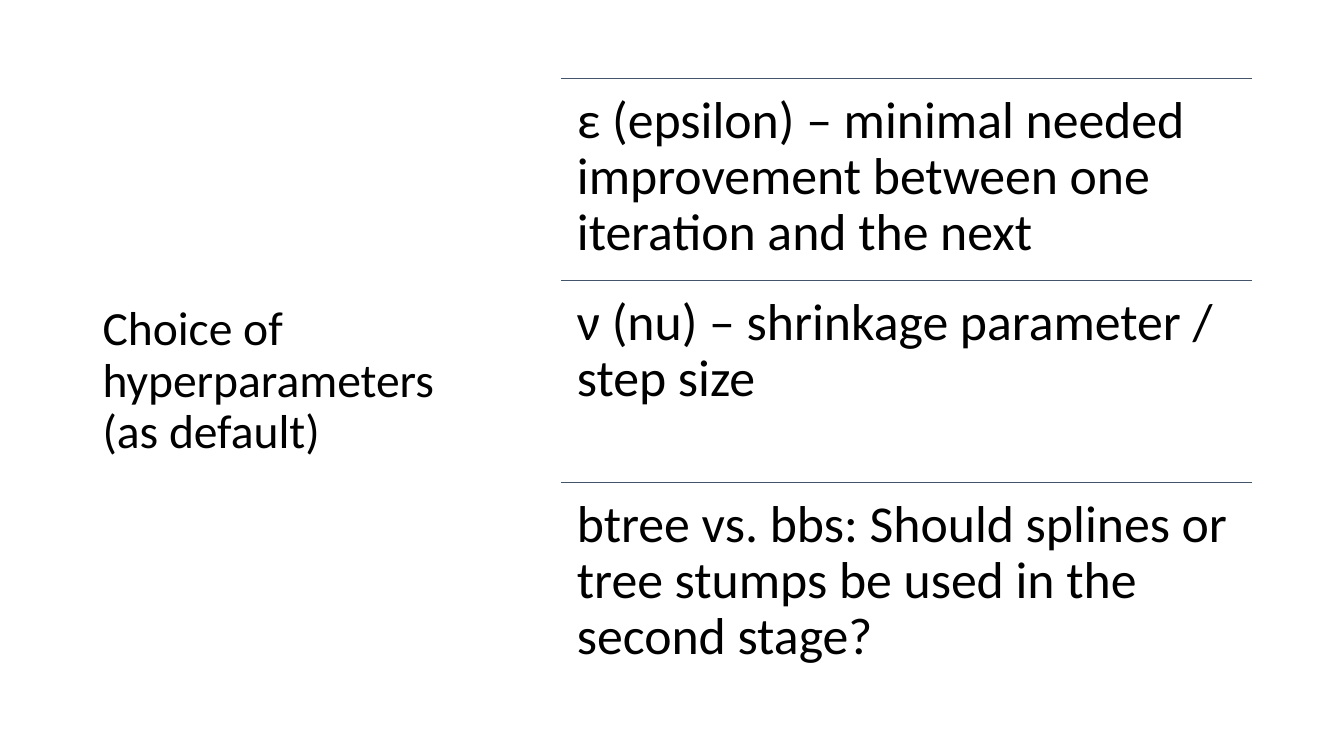
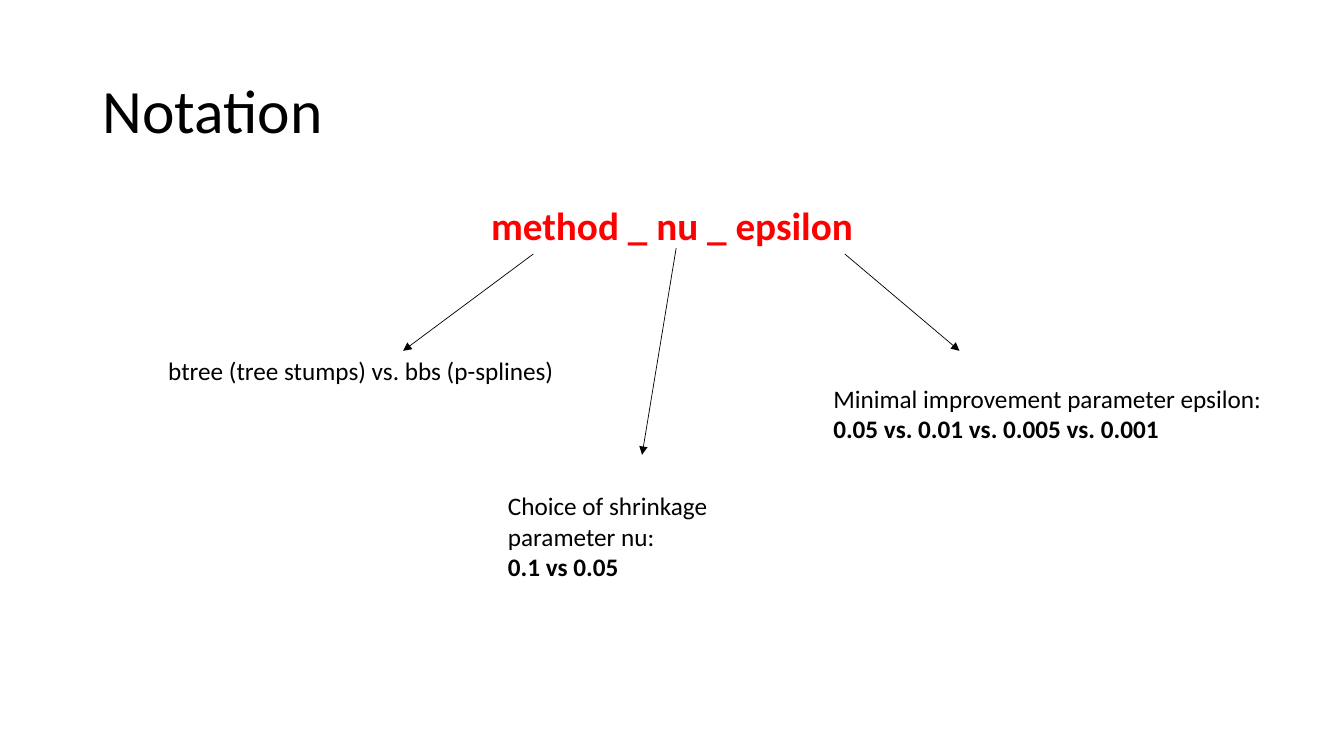
from lxml.etree import SubElement
from pptx import Presentation
from pptx.dml.color import RGBColor
from pptx.enum.shapes import MSO_CONNECTOR
from pptx.enum.text import MSO_ANCHOR, MSO_AUTO_SIZE, PP_ALIGN
from pptx.oxml.ns import qn
from pptx.util import Cm, Pt

FONT = "Calibri"
COLORS = {"text": "000000", "rule": "44546A", "formula": "FF0000"}
TITLE_ONLY, TITLE_AND_BODY = 5, 1

CHOICE_TITLE = "Choice of hyperparameters (as default)"
HYPERPARAMETERS = [
    "ε (epsilon) – minimal needed improvement between one iteration and the next",
    "ν (nu) – shrinkage parameter / step size",
    "btree vs. bbs: Should splines or tree stumps be used in the second stage?",
]
LIST_LEFT, LIST_TOP, LIST_WIDTH, ROW_HEIGHT = 14.15, 1.98, 17.4, 5.09

NOTATION_TITLE = "Notation"
FORMULA = "method _ nu _ epsilon"
EXPLANATIONS = [
    {"lines": ["btree (tree stumps) vs. bbs (p-splines)"],
     "box": (3.99, 8.84, 10.54, 1.02), "arrow": (13.44, 6.4, 10.16, 8.84)},
    {"lines": ["Choice of shrinkage parameter nu:", "0.1 vs 0.05"],
     "box": (12.55, 12.24, 6.91, 2.57), "arrow": (17.04, 6.25, 16.18, 11.46)},
    {"lines": ["Minimal improvement parameter epsilon:",
               "0.05 vs. 0.01 vs. 0.005 vs. 0.001"],
     "box": (20.75, 9.53, 11.48, 1.8), "arrow": (21.29, 6.4, 24.18, 8.84)},
]


def style(paragraph, size, color="text", bold=False, spacing=None, align=PP_ALIGN.LEFT):
    paragraph.alignment = align
    paragraph.line_spacing = spacing
    for run in paragraph.runs:
        run.font.name = FONT
        run.font.size = Pt(size)
        run.font.bold = bold
        run.font.color.rgb = RGBColor.from_string(COLORS[color])


def place(shape, box):
    shape.left, shape.top, shape.width, shape.height = map(Cm, box)


def add_slide(deck, layout, title, title_box, title_size):
    slide = deck.slides.add_slide(deck.slide_layouts[layout])
    heading = slide.shapes.title
    place(heading, title_box)
    frame = heading.text_frame
    frame.text = title
    frame.word_wrap = True
    frame.auto_size = MSO_AUTO_SIZE.NONE
    frame.vertical_anchor = MSO_ANCHOR.MIDDLE
    style(frame.paragraphs[0], title_size, spacing=0.9)
    return slide


def add_text(slide, lines, box, size, spacing=None, inset=None):
    frame = slide.shapes.add_textbox(*map(Cm, box)).text_frame
    frame.word_wrap = True
    if inset is not None:
        frame.margin_left = frame.margin_right = Cm(inset)
        frame.margin_top = frame.margin_bottom = Cm(inset)
    frame.text = "\n".join(lines)
    for index, paragraph in enumerate(frame.paragraphs):
        style(paragraph, size, bold=index > 0, spacing=spacing)


def add_line(slide, ends, color, width, arrow=False):
    line = slide.shapes.add_connector(MSO_CONNECTOR.STRAIGHT, *map(Cm, ends))
    line.line.color.rgb = RGBColor.from_string(COLORS[color])
    line.line.width = Pt(width)
    properties = line.element.spPr
    if arrow:
        SubElement(properties.find(qn("a:ln")), qn("a:tailEnd"), type="triangle")
    SubElement(properties, qn("a:effectLst"))


def add_formula(slide):
    body = slide.placeholders[1]
    place(body, (2.33, 5.07, 29.21, 12.09))
    frame = body.text_frame
    frame.text = FORMULA
    frame.auto_size = MSO_AUTO_SIZE.NONE
    paragraph = frame.paragraphs[0]
    style(paragraph, 28, "formula", True, 0.9, PP_ALIGN.CENTER)
    paragraph.space_before = Pt(10)
    properties = paragraph._p.get_or_add_pPr()
    properties.set("marL", "0")
    properties.set("indent", "0")
    SubElement(properties, qn("a:buNone"))


def build_choice(deck):
    slide = add_slide(deck, TITLE_ONLY, CHOICE_TITLE, (2.33, 1.98, 9.37, 15.28), 34)
    for row, hyperparameter in enumerate(HYPERPARAMETERS):
        top = LIST_TOP + row * ROW_HEIGHT
        add_line(slide, (LIST_LEFT, top, LIST_LEFT + LIST_WIDTH, top), "rule", 1)
        add_text(slide, [hyperparameter], (LIST_LEFT, top, LIST_WIDTH, ROW_HEIGHT),
                 37, spacing=0.9, inset=0.39)


def build_notation(deck):
    slide = add_slide(deck, TITLE_AND_BODY, NOTATION_TITLE, (2.33, 1.01, 29.21, 3.68), 44)
    add_formula(slide)
    for explanation in EXPLANATIONS:
        add_line(slide, explanation["arrow"], "text", 0.5, arrow=True)
        add_text(slide, explanation["lines"], explanation["box"], 18)


def main():
    deck = Presentation()
    deck.slide_width, deck.slide_height = Cm(33.87), Cm(19.05)
    build_choice(deck)
    build_notation(deck)
    deck.save("out.pptx")


if __name__ == "__main__":
    main()
